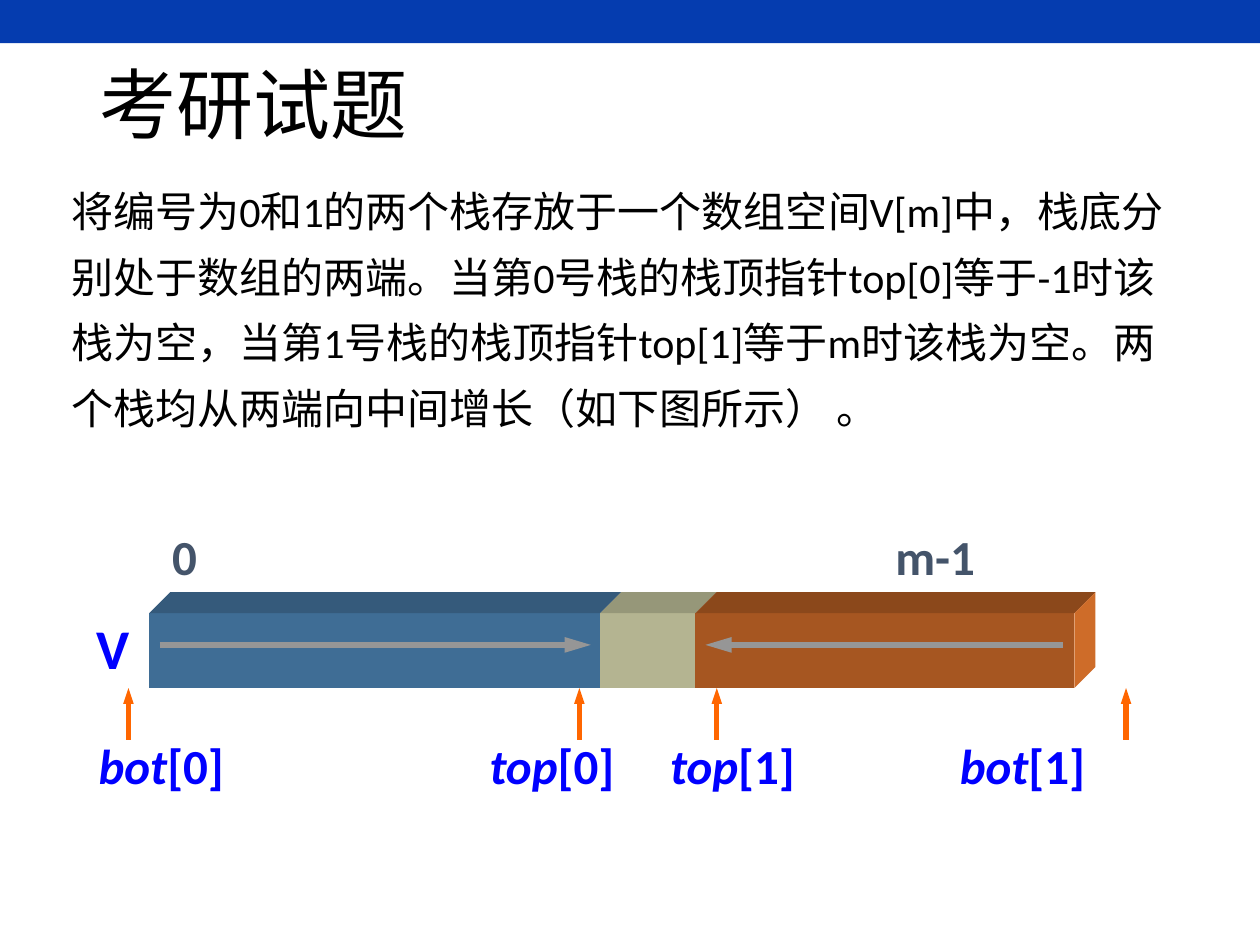
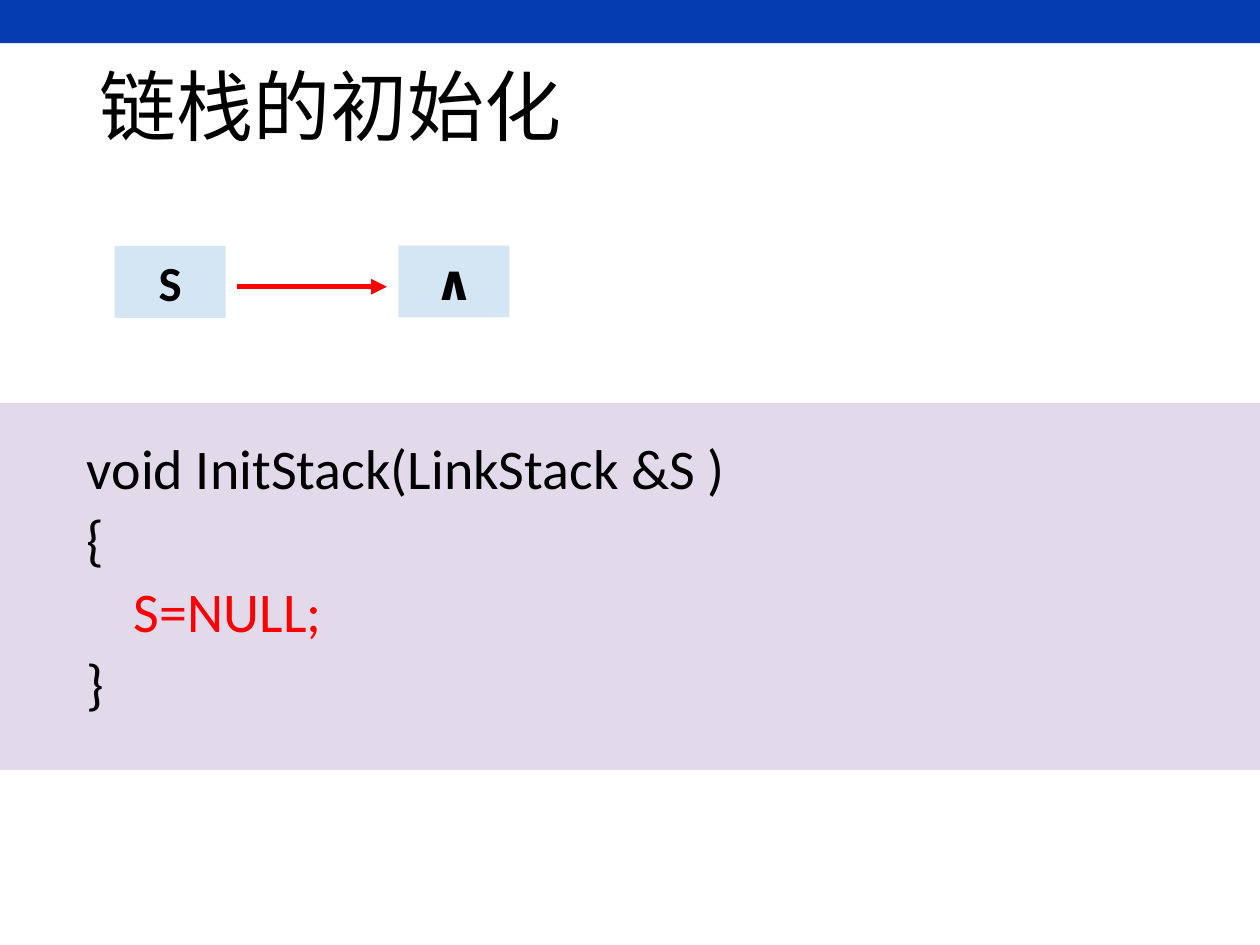
"""Two slides on stacks: two stacks sharing one array, and initialising a linked stack."""
from lxml import etree
from pptx import Presentation
from pptx import util as u
from pptx.dml.color import RGBColor
from pptx.enum import shapes, text
from pptx.oxml.ns import qn

Cm = u.Cm
COLORS = {
    "band": "053CAF", "ink": "000000", "label": "0000FF", "index": "44546A",
    "pointer": "FF6600", "growth": "969696", "red": "FF0000",
    "node": "D4E6F4", "code": "E2D9EB",
    "stack0": "3F6D95", "stack0_top": "355A7B",
    "free": "B4B491", "free_top": "969779",
    "stack1": "A65621", "stack1_top": "8B481B", "stack1_side": "CE6C29",
}


def write(frame, lines, size, bold=False, spacing=None, before=0):
    """Fill a frame with lines of (text, colour, italic) runs."""
    frame.word_wrap = True
    for number, runs in enumerate(lines):
        paragraph = frame.add_paragraph() if number else frame.paragraphs[0]
        paragraph.line_spacing = spacing
        if number and before:
            paragraph.space_before = u.Pt(before)
        for words, color, italic in runs:
            run = paragraph.add_run()
            run.text = words
            run.font.name = "Calibri"
            run.font.size = u.Pt(size)
            run.font.bold = bold
            run.font.italic = italic
            run.font.color.rgb = RGBColor.from_string(COLORS[color])


def arrow(slide, start, end, color, width="med", length="med"):
    """Draw a straight arrow between two points given in centimetres."""
    line = slide.shapes.add_connector(
        shapes.MSO_CONNECTOR.STRAIGHT, *map(Cm, start + end))
    line.line.color.rgb = RGBColor.from_string(COLORS[color])
    line.line.width = u.Pt(3)
    etree.SubElement(line.line._get_or_add_ln(), qn("a:tailEnd"),
                     type="triangle", w=width, len=length)
    etree.SubElement(line._element.spPr, qn("a:effectLst"))


deck = Presentation()
deck.slide_width, deck.slide_height = Cm(25.4), Cm(19.05)

exam, linked = [deck.slides.add_slide(deck.slide_layouts[6]) for _ in range(2)]
for slide, heading, title_height in ((exam, "考研试题", 2.35), (linked, "链栈的初始化", 2.42)):
    band = slide.shapes.add_shape(
        shapes.MSO_SHAPE.RECTANGLE, 0, 0, deck.slide_width, Cm(0.87))
    band.shadow.inherit = False
    band.fill.solid()
    band.fill.fore_color.rgb = RGBColor.from_string(COLORS["band"])
    band.line.fill.background()
    title = slide.shapes.add_textbox(Cm(1.75), Cm(1.02), Cm(21.9), Cm(title_height))
    title.text_frame.vertical_anchor = text.MSO_ANCHOR.MIDDLE
    write(title.text_frame, [[(heading, "ink", False)]], 44, spacing=0.9)

question = exam.shapes.add_textbox(Cm(1.19), Cm(3.35), Cm(22.71), Cm(5.46))
question.text_frame.vertical_anchor = text.MSO_ANCHOR.MIDDLE
write(question.text_frame, [[(
    "将编号为0和1的两个栈存放于一个数组空间V[m]中，栈底分别处于数组的两端。"
    "当第0号栈的栈顶指针top[0]等于-1时该栈为空，当第1号栈的栈顶指针top[1]等于m时该栈为空。"
    "两个栈均从两端向中间增长（如下图所示） 。", "ink", False)]], 24, spacing=1.3)

array_top, array_bottom, depth = 12.36, 13.87, 0.42
edges = [3.01, 12.1, 14.02, 21.66]
faces = []
for part, left, right in zip(("stack0", "free", "stack1"), edges, edges[1:]):
    faces.append((part, [(left, array_top), (right, array_top),
                         (right, array_bottom), (left, array_bottom)]))
    faces.append((part + "_top", [
        (left, array_top), (left + depth, array_top - depth),
        (right + depth, array_top - depth), (right, array_top)]))
faces.append(("stack1_side", [
    (edges[-1], array_top), (edges[-1] + depth, array_top - depth),
    (edges[-1] + depth, array_bottom - depth), (edges[-1], array_bottom)]))
for color, corners in faces:
    points = [(Cm(x), Cm(y)) for x, y in corners]
    outline = exam.shapes.build_freeform(*points[0])
    outline.add_line_segments(points[1:])
    face = outline.convert_to_shape()
    face.shadow.inherit = False
    face.fill.solid()
    face.fill.fore_color.rgb = RGBColor.from_string(COLORS[color])
    face.line.fill.background()

for name, index, label_left, pointer_x in (
        ("bot", "[0]", 1.74, 2.59), ("top", "[0]", 9.62, 11.68),
        ("top", "[1]", 13.26, 14.45), ("bot", "[1]", 19.1, 22.7)):
    label = exam.shapes.add_textbox(Cm(label_left), Cm(14.71), Cm(3.5), Cm(1.45))
    write(label.text_frame, [[(name, "label", True), (index, "label", False)]],
          28, bold=True)
    arrow(exam, (pointer_x, 14.91), (pointer_x, array_bottom), "pointer", "sm")

for words, left, top, width, size, color in (
        ("0", 3.22, 10.48, 1.5, 28, "index"), ("m-1", 17.8, 10.48, 3, 28, "index"),
        ("V", 1.7, 12.24, 1.32, 32, "label")):
    mark = exam.shapes.add_textbox(Cm(left), Cm(top), Cm(width), Cm(1.45))
    write(mark.text_frame, [[(words, color, False)]], size, bold=True)

for start_x, end_x in ((3.22, 11.91), (21.43, 14.22)):
    arrow(exam, (start_x, 13), (end_x, 13), "growth", length="lg")

for words, left, top, width, height, color in (
        ("", 0, 8.13, 25.4, 7.39, "code"),
        ("S", 2.31, 4.96, 2.24, 1.45, "node"),
        ("∧", 8.03, 4.95, 2.24, 1.45, "node")):
    block = linked.shapes.add_shape(
        shapes.MSO_SHAPE.RECTANGLE, Cm(left), Cm(top), Cm(width), Cm(height))
    block.shadow.inherit = False
    block.fill.solid()
    block.fill.fore_color.rgb = RGBColor.from_string(COLORS[color])
    block.line.fill.background()
    if words:
        block.text_frame.vertical_anchor = text.MSO_ANCHOR.TOP
        write(block.text_frame, [[(words, "ink", False)]], 28, bold=True)
        block.text_frame.paragraphs[0].alignment = text.PP_ALIGN.CENTER
arrow(linked, (4.78, 5.78), (7.8, 5.78), "red")

listing = linked.shapes.add_textbox(Cm(1.5), Cm(8.76), Cm(18.08), Cm(6.48))
write(listing.text_frame, [
    [("void InitStack(LinkStack &S )", "ink", False)],
    [("{", "ink", False)],
    [("S=NULL;", "red", False)],
    [("}", "ink", False)],
], 32, spacing=0.9, before=6.4)
listing.text_frame.paragraphs[2]._p.get_or_add_pPr().set("marL", str(Cm(0.95)))

deck.save("out.pptx")
